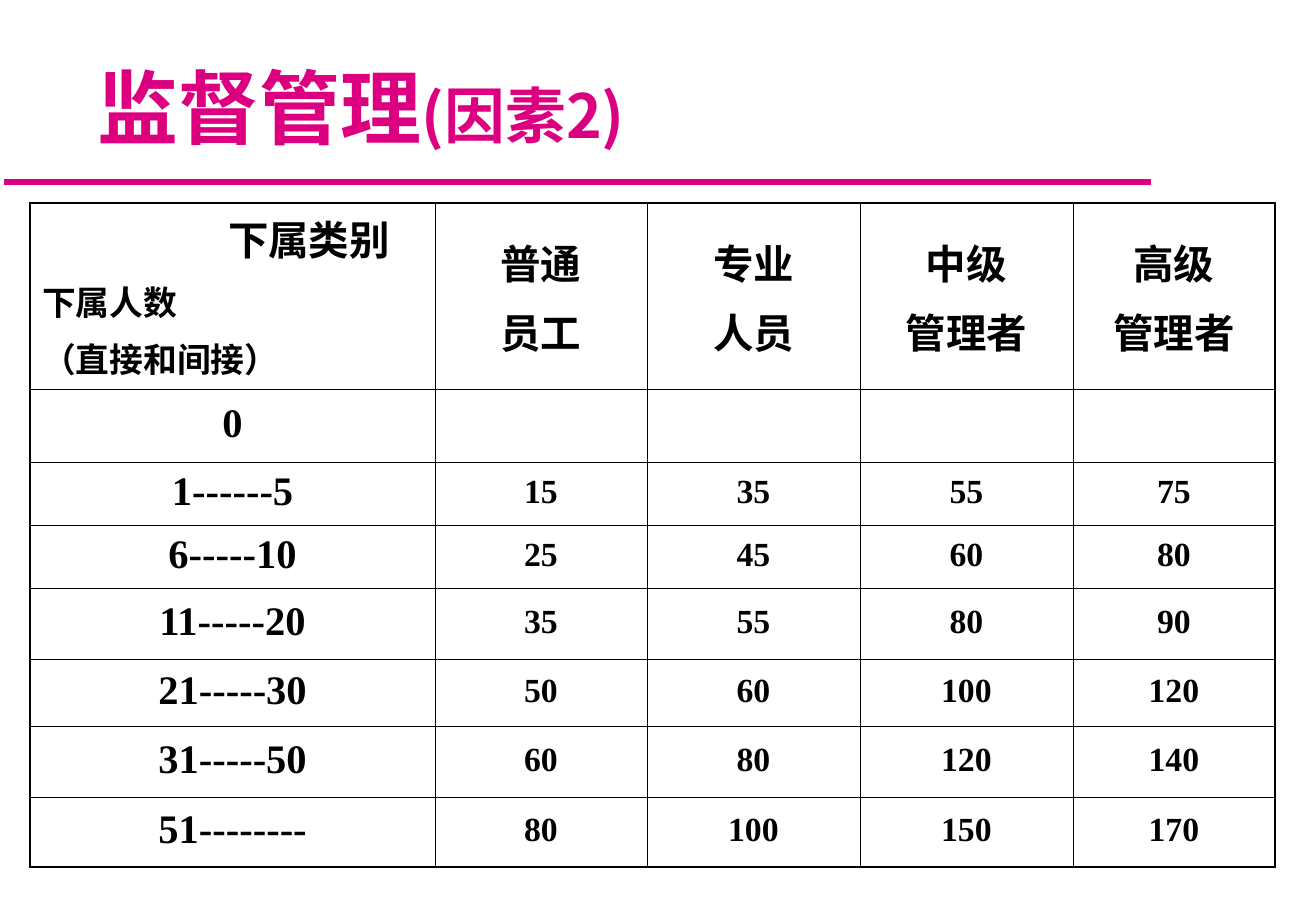
from dataclasses import dataclass
from lxml.etree import SubElement
from pptx import Presentation
from pptx.dml.color import RGBColor
from pptx.enum.text import MSO_ANCHOR, PP_ALIGN
from pptx.oxml import parse_xml
from pptx.oxml.ns import nsdecls, qn
from pptx.util import Pt

SCALE = 7532  # EMU in one px


@dataclass(frozen=True)
class Theme:
    pink: str = "DC0081"
    ink: str = "000000"
    paper: str = "FFFFFF"
    latin: str = "Times New Roman"
    asian: str = "Noto Sans CJK SC"
    title: str = "Noto Sans CJK JP"
    huge: int = 48
    large: int = 36
    head: int = 24
    body: int = 20
    thin: float = 0.45
    thick: float = 1.08
    rule: float = 4


def px(count):
    return int(count * SCALE)


def put(item, form):
    for name, value in form.items():
        setattr(item, name, value)


class Deck:
    def __init__(self, theme, width, height):
        self.theme = theme
        self.file = Presentation()
        put(self.file, {"slide_width": px(width), "slide_height": px(height)})
        self.slide = self.file.slides.add_slide(self.file.slide_layouts[5])

    def run(self, para, text, size, color, latin, asian):
        run = para.add_run()
        run.text = text
        put(run.font, {"size": Pt(size), "bold": True, "name": latin})
        run.font.color.rgb = RGBColor.from_string(color)
        SubElement(run._r.get_or_add_rPr(), qn("a:ea"), typeface=asian)

    def title(self, box, indent, parts):
        """Fill the title with (text, size, font) parts."""
        shape = self.slide.shapes.title
        put(shape, dict(zip(("left", "top", "width", "height"), map(px, box))))
        frame = shape.text_frame
        put(frame, {"word_wrap": True, "vertical_anchor": MSO_ANCHOR.BOTTOM,
                    "margin_left": px(12), "margin_right": px(12),
                    "margin_top": px(6), "margin_bottom": px(6)})
        para = frame.paragraphs[0]
        para.alignment = PP_ALIGN.LEFT
        para._p.get_or_add_pPr().set("marL", str(px(indent)))
        for text, size, font in parts:
            self.run(para, text, size, self.theme.pink, font, font)

    def line(self, start, end):
        line = self.slide.shapes.add_connector(1, *map(px, start + end))
        line.line.color.rgb = RGBColor.from_string(self.theme.pink)
        line.line.width = Pt(self.theme.rule)
        SubElement(line._element.spPr, qn("a:effectLst"))

    def grid(self, left, top, cols, rows):
        frame = self.slide.shapes.add_table(
            len(rows), len(cols), *map(px, (left, top, sum(cols), sum(rows))))
        table = frame.table
        put(table, {"first_row": False, "horz_banding": False})
        for col, width in zip(table.columns, cols):
            col.width = px(width)
        for row, height in zip(table.rows, rows):
            row.height = px(height)
        for r in range(len(rows)):
            for c in range(len(cols)):
                outer = {"L": c == 0, "R": c == len(cols) - 1,
                         "T": r == 0, "B": r == len(rows) - 1}
                self.frame(table.cell(r, c), outer)
        return table

    def frame(self, cell, outer):
        """Give a cell its fill, margins and borders."""
        cell.fill.solid()
        cell.fill.fore_color.rgb = RGBColor.from_string(self.theme.paper)
        put(cell, {"margin_left": px(12), "margin_right": px(12),
                   "margin_top": px(6), "margin_bottom": px(6),
                   "vertical_anchor": MSO_ANCHOR.MIDDLE})
        for place, (side, edge) in enumerate(outer.items()):
            width = Pt(self.theme.thick if edge else self.theme.thin)
            cell._tc.get_or_add_tcPr().insert(place, parse_xml(
                f'<a:ln{side} {nsdecls("a")} w="{width}"><a:solidFill>'
                f'<a:srgbClr val="{self.theme.ink}"/></a:solidFill></a:ln{side}>'))

    def cell(self, cell, lines, form):
        """Write (text, size, indent) lines, spaced by a quarter of the size."""
        for count, (text, size, indent) in enumerate(lines):
            frame = cell.text_frame
            para = frame.add_paragraph() if count else frame.paragraphs[0]
            put(para, form)
            if count:
                para.space_before = Pt(size / 4)
            if indent:
                para._p.get_or_add_pPr().set("marL", str(px(indent)))
            self.run(para, text, size, self.theme.ink,
                     self.theme.latin, self.theme.asian)


HEADS = ["普通 员工", "专业 人员", "中级 管理者", "高级 管理者"]
SCORES = [
    ("0",),
    ("1------5", 15, 35, 55, 75),
    ("6-----10", 25, 45, 60, 80),
    ("11-----20", 35, 55, 80, 90),
    ("21-----30", 50, 60, 100, 120),
    ("31-----50", 60, 80, 120, 140),
    ("51--------", 80, 100, 150, 170),
]


def main():
    theme = Theme()
    deck = Deck(theme, 1316, 911)
    deck.line((4, 182), (1151, 182))
    deck.title((40, 30, 1193, 131), 46,
               [("监督管理", theme.huge, theme.title),
                ("(因素2)", theme.large, theme.asian)])

    table = deck.grid(30, 203, [405, 212, 213, 213, 202],
                      [186, 73, 63, 63, 71, 67, 71, 70])
    corner = table.cell(0, 0)
    deck.cell(corner, [("下属类别", theme.head, 186),
                       ("下属人数", theme.body, 0),
                       ("（直接和间接）", theme.body, 0)],
              {"alignment": PP_ALIGN.LEFT})
    corner.vertical_anchor = MSO_ANCHOR.TOP
    center = {"alignment": PP_ALIGN.CENTER}
    for c, head in enumerate(HEADS, 1):
        deck.cell(table.cell(0, c),
                  [(word, theme.head, 0) for word in head.split()], center)
    for r, row in enumerate(SCORES, 1):
        for c, value in enumerate(row):
            size = theme.body if c else theme.head
            deck.cell(table.cell(r, c), [(str(value), size, 0)],
                      center | {"line_spacing": 0.9})
    deck.file.save("out.pptx")


if __name__ == "__main__":
    main()
